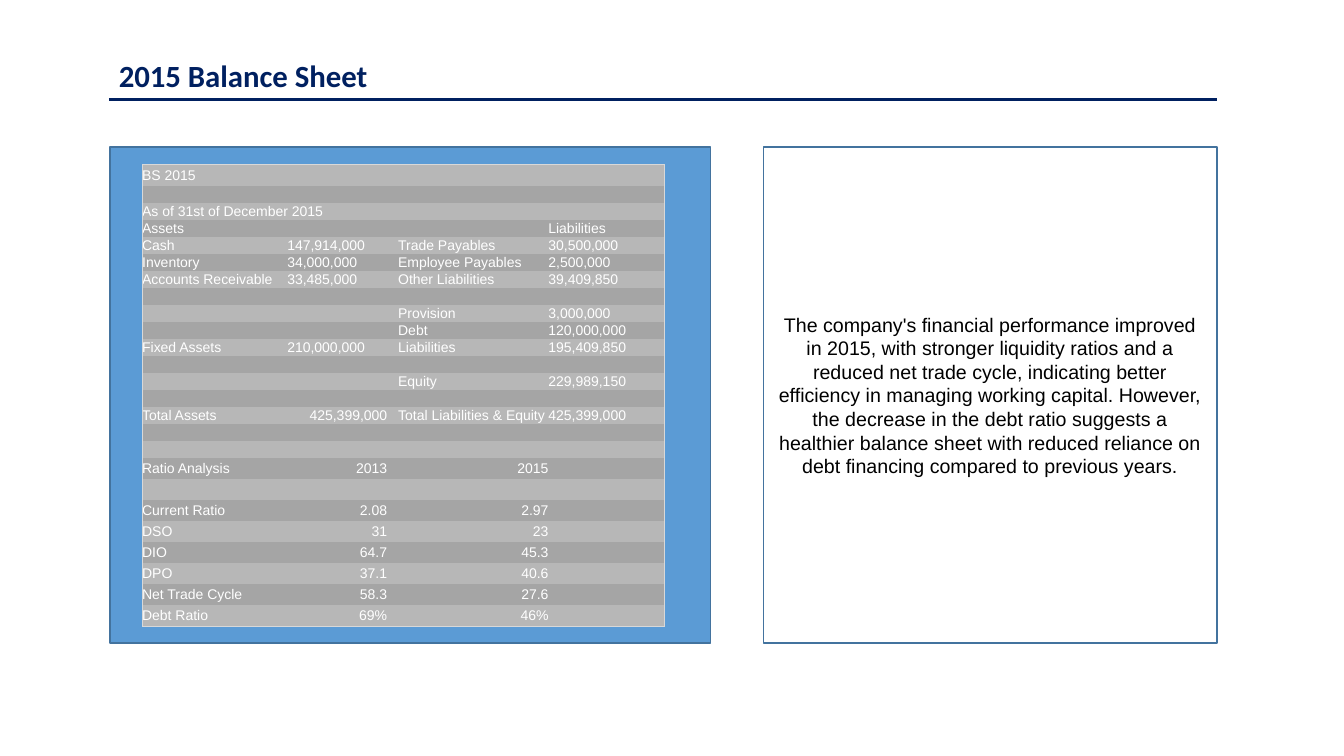
from lxml.etree import SubElement
from pptx import Presentation
from pptx.dml.color import RGBColor
from pptx.enum.shapes import MSO_CONNECTOR, MSO_SHAPE
from pptx.enum.text import MSO_ANCHOR, MSO_AUTO_SIZE, PP_ALIGN
from pptx.oxml.ns import qn
from pptx.util import Inches, Pt

NAVY = RGBColor(0x00, 0x20, 0x60)
BLUE = RGBColor(0x5B, 0x9B, 0xD5)
OUTLINE = RGBColor(0x43, 0x73, 0x9E)
WHITE = RGBColor(0xFF, 0xFF, 0xFF)
BLACK = RGBColor(0x00, 0x00, 0x00)
LIGHT_GREY = RGBColor(0xB7, 0xB7, 0xB7)
DARK_GREY = RGBColor(0xA5, 0xA5, 0xA5)
BORDER = RGBColor(0xD8, 0xD8, 0xD8)

NO_STYLE = "{2D5ABB26-0587-4C30-8999-92F81FD0307C}"
COL_WIDTHS = [1.44, 0.99, 0.11, 1.49, 1.15]
LEDGER = [
    ("As of 31st of December 2015", "", "", ""),
    ("Assets", "", "", "Liabilities"),
    ("Cash", "147,914,000", "Trade Payables", "30,500,000"),
    ("Inventory", "34,000,000", "Employee Payables", "2,500,000"),
    ("Accounts Receivable", "33,485,000", "Other Liabilities", "39,409,850"),
    ("", "", "", ""),
    ("", "", "Provision", "3,000,000"),
    ("", "", "Debt", "120,000,000"),
    ("Fixed Assets", "210,000,000", "Liabilities", "195,409,850"),
    ("", "", "", ""),
    ("", "", "Equity", "229,989,150"),
    ("", "", "", ""),
    ("Total Assets", "425,399,000", "Total Liabilities & Equity", "425,399,000"),
    ("", "", "", ""),
    ("", "", "", ""),
]
RATIOS = [
    ("Ratio Analysis", "2013", "2015", ""),
    ("", "", "", ""),
    ("Current Ratio", "2.08", "2.97", ""),
    ("DSO", "31", "23", ""),
    ("DIO", "64.7", "45.3", ""),
    ("DPO", "37.1", "40.6", ""),
    ("Net Trade Cycle", "58.3", "27.6", ""),
    ("Debt Ratio", "69%", "46%", ""),
]
ROWS = [("BS 2015", "", "", ""), ("", "", "", "")] + LEDGER + RATIOS
HEIGHTS = [0.22] + [2.7 / 16] * 16 + [1.67 / 8] * 8
DATE_ROW = 2
TOTAL_ROW = 14
RATIO_ROW = 17
COMMENT = (
    "The company's financial performance improved in 2015, with stronger "
    "liquidity ratios and a reduced net trade cycle, indicating better "
    "efficiency in managing working capital. However, the decrease in the "
    "debt ratio suggests a healthier balance sheet with reduced reliance on "
    "debt financing compared to previous years."
)


def add_run(p, text, font, size, color, bold=False):
    r = p.add_run()
    r.text = text
    r.font.name = font
    r.font.size = Pt(size)
    r.font.bold = bold
    r.font.color.rgb = color


def add_title(s, text):
    tf = s.shapes.add_textbox(
        Inches(1.08), Inches(0.51), Inches(3.66), Inches(0.47)).text_frame
    tf.word_wrap = True
    tf.auto_size = MSO_AUTO_SIZE.SHAPE_TO_FIT_TEXT
    add_run(tf.paragraphs[0], text, "Calibri", 22, NAVY, True)


def add_rule(s):
    line = s.shapes.add_connector(
        MSO_CONNECTOR.STRAIGHT, Inches(1.08), Inches(0.99), Inches(12.07), Inches(0.99))
    line.line.color.rgb = NAVY
    line.line.width = Pt(2.25)
    SubElement(line._element.spPr, qn("a:effectLst"))


def add_panel(s, left, width, fill=None):
    sp = s.shapes.add_shape(
        MSO_SHAPE.RECTANGLE, Inches(left), Inches(1.46), Inches(width), Inches(4.92))
    sp.shadow.inherit = False
    if fill is None:
        sp.fill.background()
    else:
        sp.fill.solid()
        sp.fill.fore_color.rgb = fill
    sp.line.color.rgb = OUTLINE
    sp.line.width = Pt(1)
    return sp


def add_comment(sp, text):
    tf = sp.text_frame
    tf.word_wrap = True
    tf.margin_left = tf.margin_right = Inches(0.13)
    tf.vertical_anchor = MSO_ANCHOR.MIDDLE
    p = tf.paragraphs[0]
    p.alignment = PP_ALIGN.CENTER
    add_run(p, text, "Arial", 14, BLACK)


def add_border(cell, side):
    ln = SubElement(cell._tc.get_or_add_tcPr(), qn(f"a:ln{side}"), w=str(Pt(0.5)))
    fill = SubElement(ln, qn("a:solidFill"))
    SubElement(fill, qn("a:srgbClr"), val=str(BORDER))


def format_cell(cell, row, col):
    edges = {"L": col == 0,
             "R": col == len(COL_WIDTHS) - 1 or row == DATE_ROW and col == 0,
             "T": row == 0, "B": row == len(ROWS) - 1}
    for side, outer in edges.items():
        if outer:
            add_border(cell, side)
    cell.margin_left = cell.margin_right = cell.margin_top = cell.margin_bottom = 0
    cell.vertical_anchor = MSO_ANCHOR.MIDDLE
    cell.fill.solid()
    cell.fill.fore_color.rgb = DARK_GREY if row % 2 else LIGHT_GREY


def fill_cell(cell, text, right):
    p = cell.text_frame.paragraphs[0]
    if text:
        p.alignment = PP_ALIGN.RIGHT if right else PP_ALIGN.LEFT
        add_run(p, text, "Arial", 10, WHITE)
    else:
        SubElement(p._p, qn("a:endParaRPr"), sz="1000")


def add_balance_table(s):
    table = s.shapes.add_table(
        len(ROWS), len(COL_WIDTHS), Inches(1.41), Inches(1.63),
        Inches(sum(COL_WIDTHS)), Inches(sum(HEIGHTS))).table
    table.first_row = False
    table.horz_banding = False
    table._tbl.tblPr.find(qn("a:tableStyleId")).text = NO_STYLE
    for column, width in zip(table.columns, COL_WIDTHS):
        column.width = Inches(width)
    for i, (a, b, c, d) in enumerate(ROWS):
        table.rows[i].height = Inches(HEIGHTS[i])
        for j, text in enumerate((a, b, "", c, d)):
            cell = table.cell(i, j)
            format_cell(cell, i, j)
            right = (i >= RATIO_ROW and j > 0) or (i == TOTAL_ROW and j == 1)
            fill_cell(cell, text, right)
    table.cell(DATE_ROW, 0).merge(table.cell(DATE_ROW, 4))


def main():
    prs = Presentation()
    prs.slide_width = Inches(13.33)
    prs.slide_height = Inches(7.5)
    s = prs.slides.add_slide(prs.slide_layouts[6])
    add_rule(s)
    add_title(s, "2015 Balance Sheet")
    add_panel(s, 1.09, 5.96, BLUE)
    add_comment(add_panel(s, 7.57, 4.5), COMMENT)
    add_balance_table(s)
    prs.save("out.pptx")


if __name__ == "__main__":
    main()
